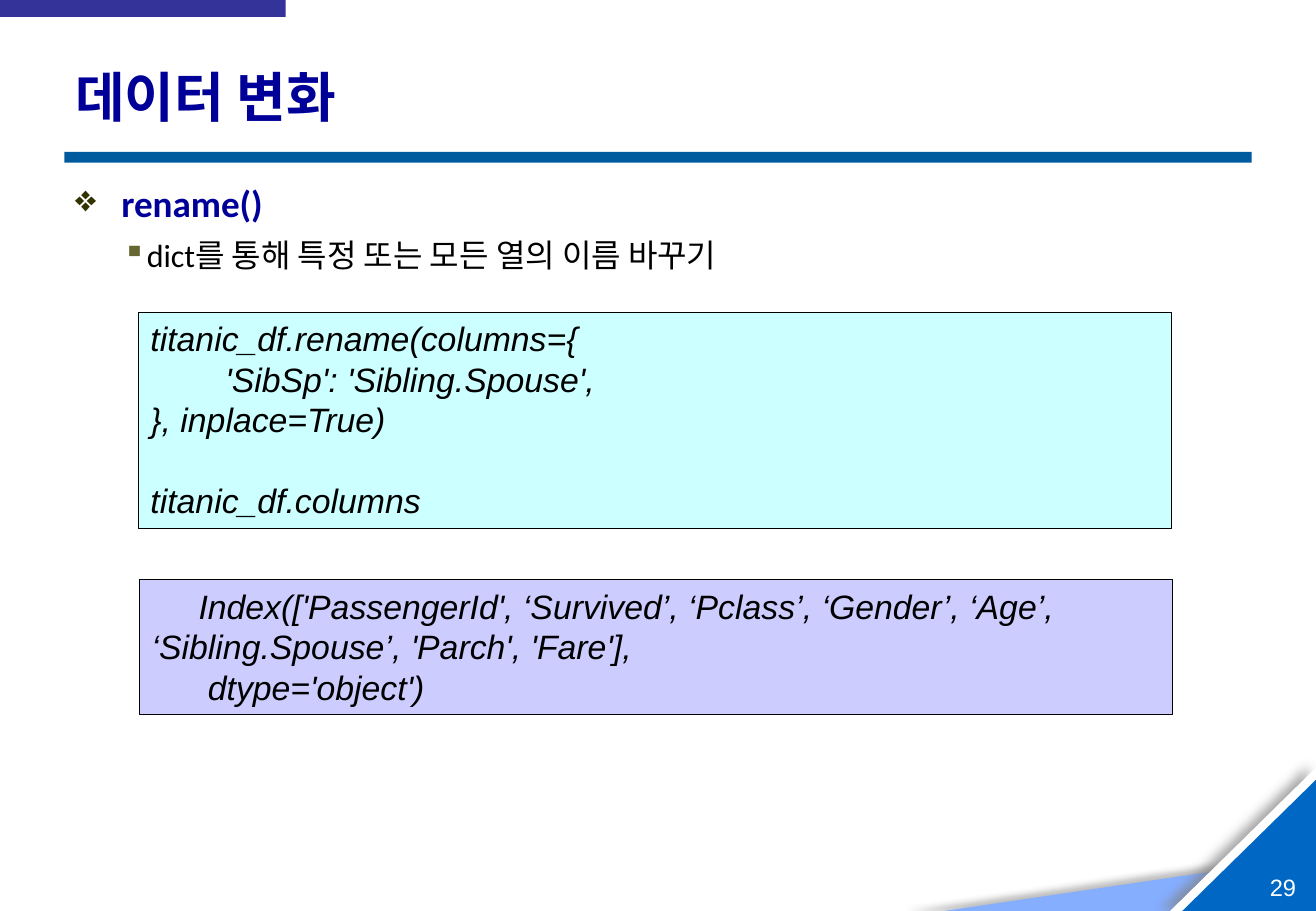
import pptx
import pptx.util
import pptx.dml.color
import pptx.enum.shapes
import pptx.enum.text
import pptx.oxml
import pptx.oxml.ns

Inches, Pt = pptx.util.Inches, pptx.util.Pt
ANCHOR = pptx.enum.text.MSO_ANCHOR
SHAPE = pptx.enum.shapes.MSO_SHAPE

# Content
TITLE = "데이터 변화"
PAGE_NUMBER = "29"
TOPIC = "rename()"
DETAIL = "dict를 통해 특정 또는 모든 열의 이름 바꾸기"
# Each code line carries the number of empty lines above it
CODE = [
    ("titanic_df.rename(columns={", 0),
    ("        'SibSp': 'Sibling.Spouse',", 0),
    ("}, inplace=True)", 0),
    ("titanic_df.columns", 1),
]
OUTPUT = [
    ("     Index(['PassengerId', ‘Survived’, ‘Pclass’, ‘Gender’, ‘Age’, "
     "\t\t\t‘Sibling.Spouse’, 'Parch', 'Fare'],", 0),
    ("      dtype='object')", 0),
]

THEME = {
    "heading": "000099", "text": "000000", "page": "FFFFFF",
    "topic_bullet": "333300", "detail_bullet": "666633",
    "code_fill": "CCFFFF", "output_fill": "CCCCFF",
    "rule": "005A9E", "tab": "333399",
    "body_font": "Calibri", "code_font": "Arial",
    "title_size": 32, "topic_size": 22, "detail_size": 19,
    "code_size": 20, "code_line": 24, "page_size": 14,
}

# Corner triangles: left, top, fill, shadow (colour, alpha %, blur, distance, angle)
SLIDE_W, SLIDE_H = 10.83, 7.5
CORNER = [
    (7.77, 7.05, "85AEFF", ("595959", 40, 4, 22, 180)),
    (9.63, 6.32, "FFFFFF", ("808080", 69, 7, 5, 190)),
    (9.73, 6.42, "0067C4", None),
]
MARGIN, CONTENT_W = 0.52, 9.77

prs = pptx.Presentation()
prs.slide_width, prs.slide_height = Inches(SLIDE_W), Inches(SLIDE_H)
slide = prs.slides.add_slide(prs.slide_layouts[6])


def rgb(value):
    return pptx.dml.color.RGBColor.from_string(value)


def add_block(kind, left, top, width, height, fill, line=None):
    block = slide.shapes.add_shape(
        kind, Inches(left), Inches(top), Inches(width), Inches(height))
    block.shadow.inherit = False
    block.fill.solid()
    block.fill.fore_color.rgb = rgb(fill)
    if line:
        block.line.color.rgb = rgb(line)
        block.line.width = Pt(0.75)
    else:
        block.line.fill.background()
    return block


def add_shadow(block, color, alpha, blur, distance, angle):
    effects = block._element.spPr.find(pptx.oxml.ns.qn("a:effectLst"))
    effects.append(pptx.oxml.parse_xml(
        f'<a:outerShdw {pptx.oxml.ns.nsdecls("a")} blurRad="{Pt(blur)}" '
        f'dist="{Pt(distance)}" dir="{angle * 60000}" algn="r" rotWithShape="0">'
        f'<a:srgbClr val="{color}"><a:alpha val="{alpha * 1000}"/></a:srgbClr>'
        '</a:outerShdw>'))


def add_text_frame(left, top, width, height, anchor=ANCHOR.TOP, wrap=True):
    box = slide.shapes.add_textbox(
        Inches(left), Inches(top), Inches(width), Inches(height))
    frame = box.text_frame
    frame.word_wrap = wrap
    frame.vertical_anchor = anchor
    return frame


def add_run(paragraph, text, font, size, color, bold=False, italic=False):
    run = paragraph.add_run()
    run.text = text
    run.font.name, run.font.size = font, Pt(size)
    run.font.bold, run.font.italic = bold, italic
    run.font.color.rgb = rgb(color)


def add_bullet(paragraph, mark, color, margin, hanging):
    props = paragraph._p.get_or_add_pPr()
    props.set("marL", str(Inches(margin)))
    props.set("indent", str(-Inches(hanging)))
    for xml in (f'<a:buClr {{}}><a:srgbClr val="{color}"/></a:buClr>',
                f'<a:buChar {{}} char="{mark}"/>'):
        props.append(pptx.oxml.parse_xml(xml.format(pptx.oxml.ns.nsdecls("a"))))


def add_code_panel(left, top, height, fill, lines):
    panel = add_block(SHAPE.RECTANGLE, left, top, 8.5, height, fill, THEME["text"])
    frame = panel.text_frame
    frame.word_wrap = True
    frame.vertical_anchor = ANCHOR.TOP
    for index, (text, gap) in enumerate(lines):
        paragraph = frame.add_paragraph() if index else frame.paragraphs[0]
        paragraph.alignment = pptx.enum.text.PP_ALIGN.LEFT
        paragraph.line_spacing = Pt(THEME["code_line"])
        if gap:
            paragraph.space_before = Pt(gap * THEME["code_line"])
        add_run(paragraph, text, THEME["code_font"], THEME["code_size"],
                THEME["text"], italic=True)


# Corner decoration, reaching to the bottom right of the slide
for left, top, fill, shadow in CORNER:
    triangle = add_block(SHAPE.RIGHT_TRIANGLE, left, top,
                         SLIDE_W - left, SLIDE_H - top, fill)
    triangle._element.spPr.xfrm.set("flipH", "1")
    if shadow:
        add_shadow(triangle, *shadow)

# Title rule and top tab
add_block(SHAPE.RECTANGLE, 0.53, 1.25, CONTENT_W, 0.09, THEME["rule"])
add_block(SHAPE.RECTANGLE, 0, 0, 2.35, 0.14, THEME["tab"])

# Page number
page = add_text_frame(10.45, 7.18, 0.25, 0.24, ANCHOR.MIDDLE, wrap=False)
page.margin_left = page.margin_right = page.margin_top = page.margin_bottom = 0
add_run(page.paragraphs[0], PAGE_NUMBER, THEME["code_font"],
        THEME["page_size"], THEME["page"])

# Title
title = add_text_frame(MARGIN, 0.4, CONTENT_W, 0.78, ANCHOR.MIDDLE)
add_run(title.paragraphs[0], TITLE, THEME["body_font"],
        THEME["title_size"], THEME["heading"], bold=True)

# Topic and its detail
body = add_text_frame(MARGIN, 1.44, CONTENT_W, 5.74)
topic = body.paragraphs[0]
add_bullet(topic, "❖", THEME["topic_bullet"], 0.38, 0.38)
add_run(topic, TOPIC, THEME["body_font"], THEME["topic_size"],
        THEME["heading"], bold=True)
detail = body.add_paragraph()
detail.level = 1
add_bullet(detail, "▪", THEME["detail_bullet"], 0.59, 0.2)
detail.line_spacing = 1.1
detail.space_before, detail.space_after = Pt(4), Pt(1)
add_run(detail, DETAIL, THEME["body_font"], THEME["detail_size"], THEME["text"])

# Code and its output
add_code_panel(1.14, 2.57, 1.78, THEME["code_fill"], CODE)
add_code_panel(1.15, 4.77, 1.11, THEME["output_fill"], OUTPUT)

prs.save("out.pptx")
